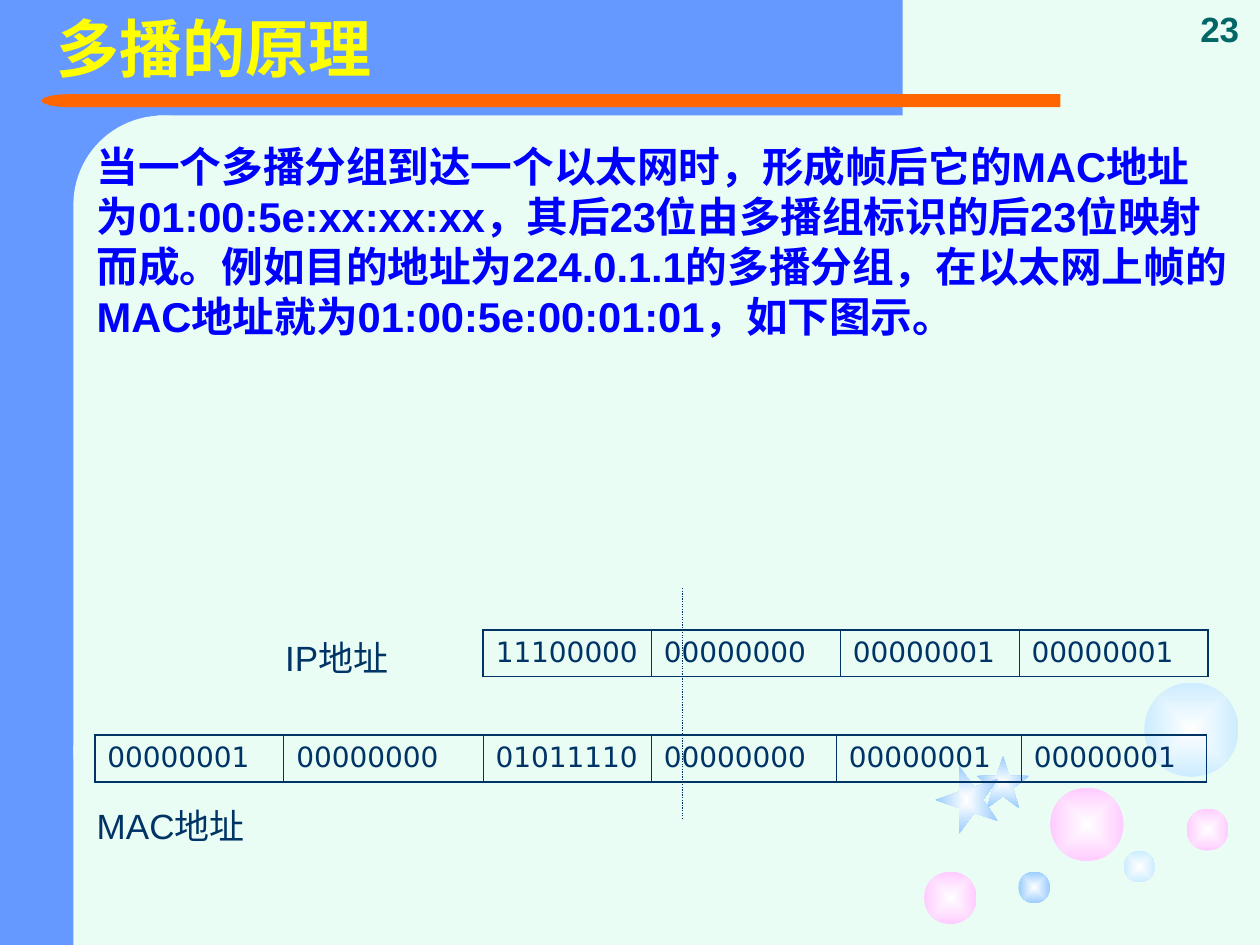
from lxml.etree import SubElement
from pptx import Presentation
from pptx.dml.color import RGBColor
from pptx.enum.dml import MSO_LINE
from pptx.enum.shapes import MSO_CONNECTOR, MSO_SHAPE as SHAPE
from pptx.enum.text import MSO_ANCHOR as ANCHOR, MSO_AUTO_SIZE as FIT, PP_ALIGN as ALIGN
from pptx.oxml.ns import qn
from pptx.util import Cm, Pt

COLORS = {
    "paper": "E9FDF4", "blue": "6699FF", "orange": "FF6600", "white": "FFFFFF",
    "pink": "FFCCFF", "ice": "CCECFF", "sky": "99CCFF", "yellow": "FFFF00",
    "body": "0000FF", "navy": "003366", "teal": "006666",
}

BODY = (
    "当一个多播分组到达一个以太网时，形成帧后它的MAC地址为01:00:5e:xx:xx:xx，"
    "其后23位由多播组标识的后23位映射而成。例如目的地址为224.0.1.1的多播分组，"
    "在以太网上帧的MAC地址就为01:00:5e:00:01:01，如下图示。"
)

BUBBLES = [
    (21.17, 15.88, 1.48, "pink"), (18.63, 17.57, 1.06, "pink"),
    (22.65, 17.15, 0.64, "ice"), (23.92, 16.3, 0.85, "pink"),
    (23.07, 13.76, 1.9, "ice"), (20.53, 17.57, 0.64, "sky"),
]


def rgb(name):
    return RGBColor.from_string(COLORS[name])


def write(tf, text, size=20, color="navy", font="Arial", bold=False,
          align=ALIGN.LEFT, spacing=1.0):
    p = tf.paragraphs[0]
    p.alignment, p.line_spacing = align, spacing
    p.space_before = Pt(0)
    r = p.add_run()
    r.text = text
    r.font.name, r.font.size, r.font.bold = font, Pt(size), bold
    r.font.color.rgb = rgb(color)


class Deck:
    thick, thin = 1.08, 0.45

    def __init__(self, prs):
        self.slide = prs.slides.add_slide(prs.slide_layouts[5])
        self.shapes = self.slide.shapes
        self.slide.background.fill.solid()
        self.slide.background.fill.fore_color.rgb = rgb("paper")

    def shape(self, kind, x, y, w, h, color):
        sp = self.shapes.add_shape(kind, Cm(x), Cm(y), Cm(w), Cm(h))
        sp.shadow.inherit = False
        sp.line.fill.background()
        sp.fill.solid()
        sp.fill.fore_color.rgb = rgb(color)
        return sp

    def glow(self, kind, x, y, w, h, color):
        sp = self.shape(kind, x, y, w, h, color)
        sp.fill.gradient()
        for stop, name in zip(sp.fill.gradient_stops, ("white", color)):
            stop.color.rgb = rgb(name)
        grad = sp.element.spPr.find(qn("a:gradFill"))
        grad.remove(grad.find(qn("a:lin")))
        path = SubElement(grad, qn("a:path"), path="rect")
        SubElement(path, qn("a:fillToRect"), dict.fromkeys("ltrb", "50000"))
        return sp

    def title(self, text, x, y, w, h, **style):
        sp = self.shapes.title
        sp.left, sp.top, sp.width, sp.height = Cm(x), Cm(y), Cm(w), Cm(h)
        tf = sp.text_frame
        tf.auto_size, tf.vertical_anchor = FIT.NONE, ANCHOR.MIDDLE
        write(tf, text, **style)
        self.shapes.element.append(sp.element)

    def text(self, text, x, y, w, h, anchor=ANCHOR.TOP, **style):
        tf = self.shapes.add_textbox(Cm(x), Cm(y), Cm(w), Cm(h)).text_frame
        tf.word_wrap, tf.vertical_anchor = True, anchor
        write(tf, text, **style)

    def border(self, cell, side, width):
        ln = SubElement(cell._tc.get_or_add_tcPr(), qn("a:ln" + side), w=str(Pt(width)))
        fill = SubElement(ln, qn("a:solidFill"))
        SubElement(fill, qn("a:srgbClr"), val=COLORS["navy"])

    def octets(self, values, x, y, widths, h=0.94):
        tbl = self.shapes.add_table(
            1, len(values), Cm(x), Cm(y), Cm(sum(widths)), Cm(h)).table
        tbl.first_row = tbl.horz_banding = False
        last = len(values) - 1
        for i, (value, width) in enumerate(zip(values, widths)):
            tbl.columns[i].width = Cm(width)
            cell = tbl.cell(0, i)
            self.border(cell, "L", self.thick if i == 0 else self.thin)
            self.border(cell, "R", self.thick if i == last else self.thin)
            self.border(cell, "T", self.thick)
            self.border(cell, "B", self.thick)
            cell.fill.background()
            write(cell.text_frame, value, size=16, font="DejaVu Sans")

    def dotted(self, x1, y1, x2, y2):
        ln = self.shapes.add_connector(
            MSO_CONNECTOR.STRAIGHT, Cm(x1), Cm(y1), Cm(x2), Cm(y2))
        ln.line.color.rgb = rgb("navy")
        ln.line.width = Pt(0.75)
        ln.line.dash_style = MSO_LINE.ROUND_DOT
        SubElement(ln.element.spPr, qn("a:effectLst"))


def main():
    prs = Presentation()
    prs.slide_width, prs.slide_height = Cm(25.4), Cm(19.05)
    s = Deck(prs)

    s.shape(SHAPE.RECTANGLE, 0, 0, 3.18, 19.05, "blue")
    s.shape(SHAPE.RECTANGLE, 1.27, 0, 16.93, 2.33, "blue")
    corner = s.shape(SHAPE.ROUNDED_RECTANGLE, 1.48, 2.33, 3.6, 14.61, "paper")
    corner.adjustments[0] = 0.5
    s.shape(SHAPE.RECTANGLE, 1.91, 1.9, 19.47, 0.26, "orange")
    tip = s.shape(SHAPE.FLOWCHART_DELAY, 0.84, 1.9, 1.08, 0.26, "orange")
    tip.element.spPr.find(qn("a:xfrm")).set("flipH", "1")
    s.shape(SHAPE.RECTANGLE, 1.48, 15.03, 3.6, 4.02, "paper")

    for x, y, d, color in BUBBLES:
        s.glow(SHAPE.OVAL, x, y, d, d, color)
    s.glow(SHAPE.STAR_5_POINT, 19.69, 15.24, 1.06, 1.06, "sky")
    s.glow(SHAPE.STAR_5_POINT, 18.8, 15.49, 1.37, 1.27, "sky").rotation = 270

    s.title("多播的原理", 0.89, 0, 22.68, 2.12,
            size=36, color="yellow", bold=True, spacing=0.9)
    s.text(BODY, 1.7, 2.72, 23.34, 5.51, size=23.8, color="body", bold=True)

    s.octets(["11100000", "00000000", "00000001", "00000001"],
             9.74, 12.7, [3.39, 3.81, 3.6, 3.81])
    s.octets(["00000001", "00000000", "01011110", "00000000", "00000001", "00000001"],
             1.91, 14.82, [3.81, 4.02, 3.39, 3.73, 3.73, 3.73])
    s.dotted(13.76, 16.51, 13.76, 11.85)
    s.text("IP地址", 5.5, 12.7, 3.39, 1.13)
    s.text("MAC地址", 1.7, 16.09, 3.81, 1.13)
    s.text("23", 23.78, 0, 1.62, 1.13, anchor=ANCHOR.BOTTOM,
           color="teal", bold=True, align=ALIGN.CENTER)

    prs.save("out.pptx")


if __name__ == "__main__":
    main()
